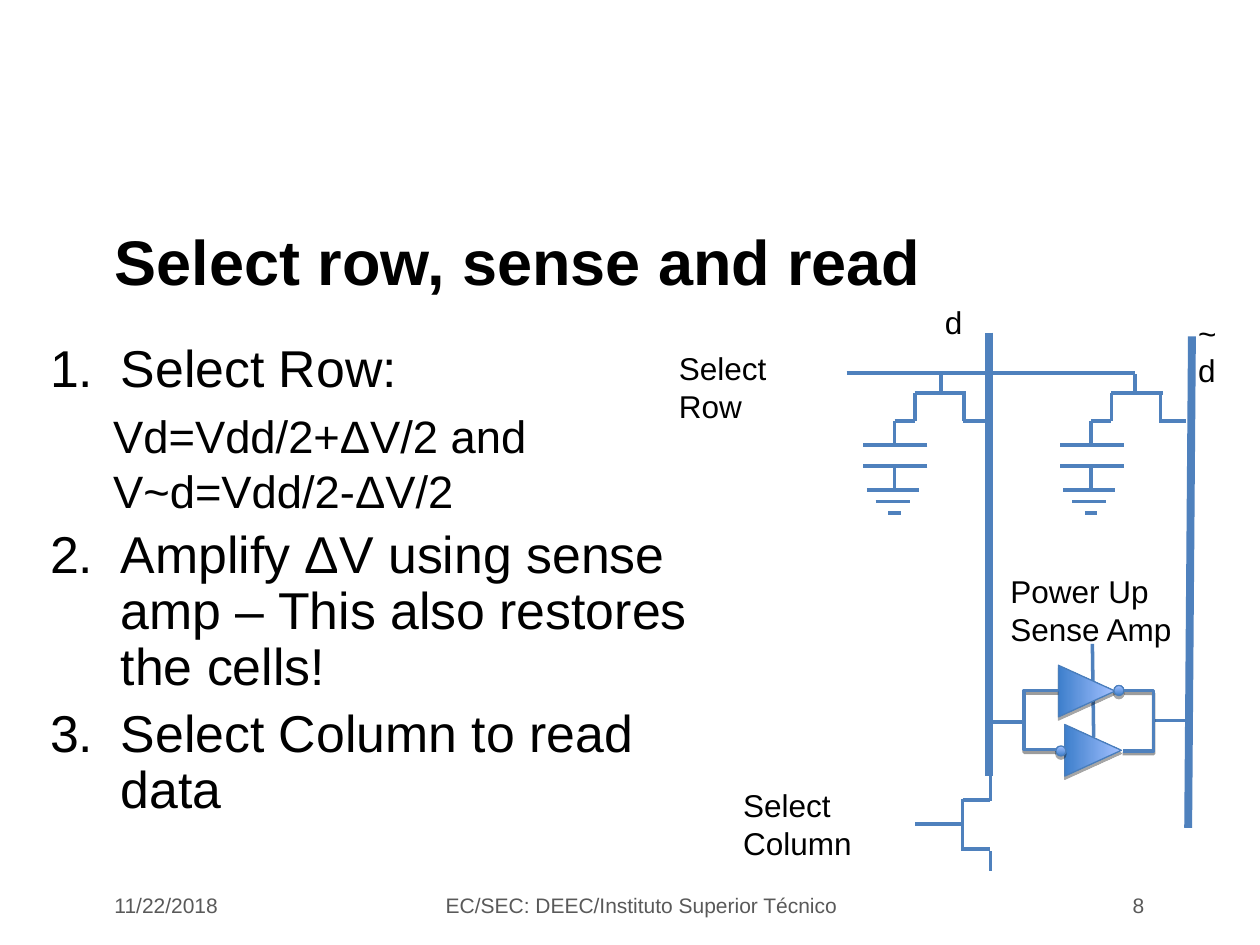
import pptx
import pptx.util
import pptx.dml.color
import pptx.enum.shapes
import pptx.enum.text
import pptx.oxml
import pptx.oxml.ns

Inches, Pt = pptx.util.Inches, pptx.util.Pt
ALIGN = pptx.enum.text.PP_ALIGN
ANCHOR = pptx.enum.text.MSO_ANCHOR
SHAPE = pptx.enum.shapes.MSO_SHAPE
LINK = pptx.enum.shapes.MSO_CONNECTOR
NS = pptx.oxml.ns.nsdecls("a")
BLUE, EDGE, BLACK, GREY = "4F81BD", "4A7EBB", "000000", "595959"

TITLE = "Select row, sense and read"
STEPS = [  # text, is a numbered step
    ("Select Row:", True),
    ("Vd=Vdd/2+ΔV/2 and V~d=Vdd/2-ΔV/2", False),
    ("Amplify ΔV using sense amp – This also restores the cells!", True),
    ("Select Column to read data", True),
]
FOOT = [
    ("11/22/2018", (0.81, 7.01, 2.02, 0.34), ALIGN.LEFT),
    ("EC/SEC: DEEC/Instituto Superior Técnico ", (3.42, 7.01, 3.39, 0.34), ALIGN.CENTER),
    ("8", (7.18, 7.01, 2, 0.34), ALIGN.RIGHT),
]
LABELS = [
    (["Select Row"], (5.29, 2.72, 1.46, 0.4)),
    (["Power Up", "Sense Amp"], (7.92, 4.49, 1.48, 0.7)),
    (["~d"], (9.41, 2.44, 0.48, 0.4)),
    (["d"], (7.4, 2.36, 0.34, 0.4)),
]
COLUMN = ("Select Column", (5.8, 6.19, 1.82, 0.4))
BITS = [(7.85, 2.64, 7.85, 6.16), (9.46, 2.67, 9.43, 6.57)]
WIRES = [
    (8.67, 5.11, 8.68, 5.85),  # power up
    (6.72, 2.96, 9.01, 2.96),  # select row
    (7.47, 3.13, 7.47, 2.97), (9.01, 3.12, 9.01, 2.97),  # gates
    (7.86, 5.73, 8.13, 5.73), (9.16, 5.72, 9.43, 5.72),  # sense amp
    (7.64, 6.74, 7.86, 6.74), (7.64, 6.75, 7.64, 6.34),  # select column
    (7.64, 6.35, 7.86, 6.35), (7.86, 6.36, 7.86, 6.16),
    (7.86, 6.91, 7.86, 6.75), (7.64, 6.54, 7.26, 6.54),
]
CELL = [
    (7.26, 3.12, 7.26, 3.34), (7.26, 3.12, 7.67, 3.12),  # transistor
    (7.65, 3.12, 7.65, 3.34), (7.64, 3.34, 7.85, 3.34),
    (7.1, 3.34, 7.26, 3.34),
    (7.36, 3.53, 6.85, 3.53), (7.36, 3.7, 6.85, 3.7),  # capacitor
    (7.1, 3.34, 7.1, 3.53), (7.1, 3.71, 7.1, 3.88),
    (6.88, 3.89, 7.29, 3.89), (6.95, 3.98, 7.22, 3.98),  # ground
    (7.05, 4.07, 7.15, 4.07),
]
STARTS = (0, 1.56)  # shift of each cell
AMPS = [  # triangle box, bubble box
    ((8.42, 5.26, 0.41, 0.45), (8.84, 5.44, 0.08, 0.08)),
    ((8.47, 5.73, 0.41, 0.45), (8.38, 5.92, 0.08, 0.08)),
]
LOOPS = [  # start x, y, end x, y, bend x
    (8.92, 5.48, 8.91, 5.96, 9.16),
    (8.4, 5.48, 8.38, 5.95, 8.13),
]


def rgb(code):
    return pptx.dml.color.RGBColor.from_string(code)


def effect(shape, dist=0, alpha=0):
    """Set a soft downward shadow, or none when dist is zero."""
    inner = ""
    if dist:
        inner = (f'<a:outerShdw blurRad="0" dist="{Pt(dist)}" dir="5400000" rotWithShape="0">'
                 f'<a:srgbClr val="000000"><a:alpha val="{alpha * 1000}"/></a:srgbClr></a:outerShdw>')
    props = shape.element.spPr
    props.append(pptx.oxml.parse_xml(f"<a:effectLst {NS}>{inner}</a:effectLst>"))


def wire(ends, width=2, bend=None):
    kind = LINK.STRAIGHT if bend is None else LINK.ELBOW
    line = slide.shapes.add_connector(kind, *map(Inches, ends))
    line.line.color.rgb = rgb(BLUE)
    line.line.width = Pt(width)
    if bend is None:
        effect(line)
    else:
        ratio = round((bend - ends[0]) / (ends[2] - ends[0]) * 100000)
        av = line.element.spPr.find(".//" + pptx.oxml.ns.qn("a:avLst"))
        av.append(pptx.oxml.parse_xml(f'<a:gd {NS} name="adj1" fmla="val {ratio}"/>'))
        effect(line, 1.6, 38)


def gate(kind, box, turn=0):
    part = slide.shapes.add_shape(kind, *map(Inches, box))
    part.rotation = turn
    part.fill.gradient()
    part.fill.gradient_angle = 90
    for stop, code in zip(part.fill.gradient_stops, ("3E7FCC", "A4C1FF")):
        stop.color.rgb = rgb(code)
    part.line.color.rgb = rgb(EDGE)
    part.line.width = Pt(0.75)
    effect(part, 1.8, 35)


def write(para, text, size, code=BLACK, bold=False):
    run = para.add_run()
    run.text = text
    font = run.font
    font.name, font.size, font.bold = "Arial", Pt(size), bold
    font.color.rgb = rgb(code)


def textbox(box, wrap=True, anchor=ANCHOR.TOP):
    frame = slide.shapes.add_textbox(*map(Inches, box)).text_frame
    frame.word_wrap, frame.vertical_anchor = wrap, anchor
    return frame


def paras(frame, items):
    """Pair each item with a paragraph of the frame."""
    for i, item in enumerate(items):
        yield (frame.add_paragraph() if i else frame.paragraphs[0]), item


deck = pptx.Presentation()
deck.slide_width, deck.slide_height = Inches(10), Inches(7.5)
slide = deck.slides.add_slide(deck.slide_layouts[5])

title = slide.shapes.title
title.left, title.top, title.width, title.height = map(Inches, (0.81, 1.59, 8.37, 0.95))
title.text_frame.vertical_anchor = ANCHOR.MIDDLE
head = title.text_frame.paragraphs[0]
head.alignment = ALIGN.LEFT
write(head, TITLE, 36, bold=True)

for text, box, side in FOOT:
    para = textbox(box, anchor=ANCHOR.MIDDLE).paragraphs[0]
    para.alignment = side
    write(para, text, 12, GREY)

for ends in BITS:
    wire(ends, 4.5)
for ends in WIRES:
    wire(ends)
for dx in STARTS:
    for x1, y1, x2, y2 in CELL:
        wire((x1 + dx, y1, x2 + dx, y2))
for body, dot in AMPS:
    gate(SHAPE.ISOSCELES_TRIANGLE, body, 90)
    gate(SHAPE.OVAL, dot)
for *ends, bend in LOOPS:
    wire(ends, bend=bend)

for lines, box in LABELS:
    for para, text in paras(textbox(box, wrap=False), lines):
        write(para, text, 18)
frame = textbox(COLUMN[1])
frame.margin_right = Inches(0.4)
write(frame.paragraphs[0], COLUMN[0], 18)

for para, (text, step) in paras(textbox((0.3, 2.67, 5.31, 4.03)), STEPS):
    props = para._p.get_or_add_pPr()
    props.set("marL", str(Inches(0.56 if step else 0.5)))
    props.set("indent", str(Inches(-0.56 if step else 0)))
    mark = '<a:buAutoNum {} type="arabicPeriod"/>' if step else "<a:buNone {}/>"
    props.append(pptx.oxml.parse_xml(mark.format(NS)))
    para.level = 0 if step else 1
    para.line_spacing = 0.9 if step else 1.0
    if text != STEPS[0][0]:
        para.space_before = Pt(6.4 if step else 5.6)
    write(para, text, 29.6 if step else 25.9)

deck.save("out.pptx")
